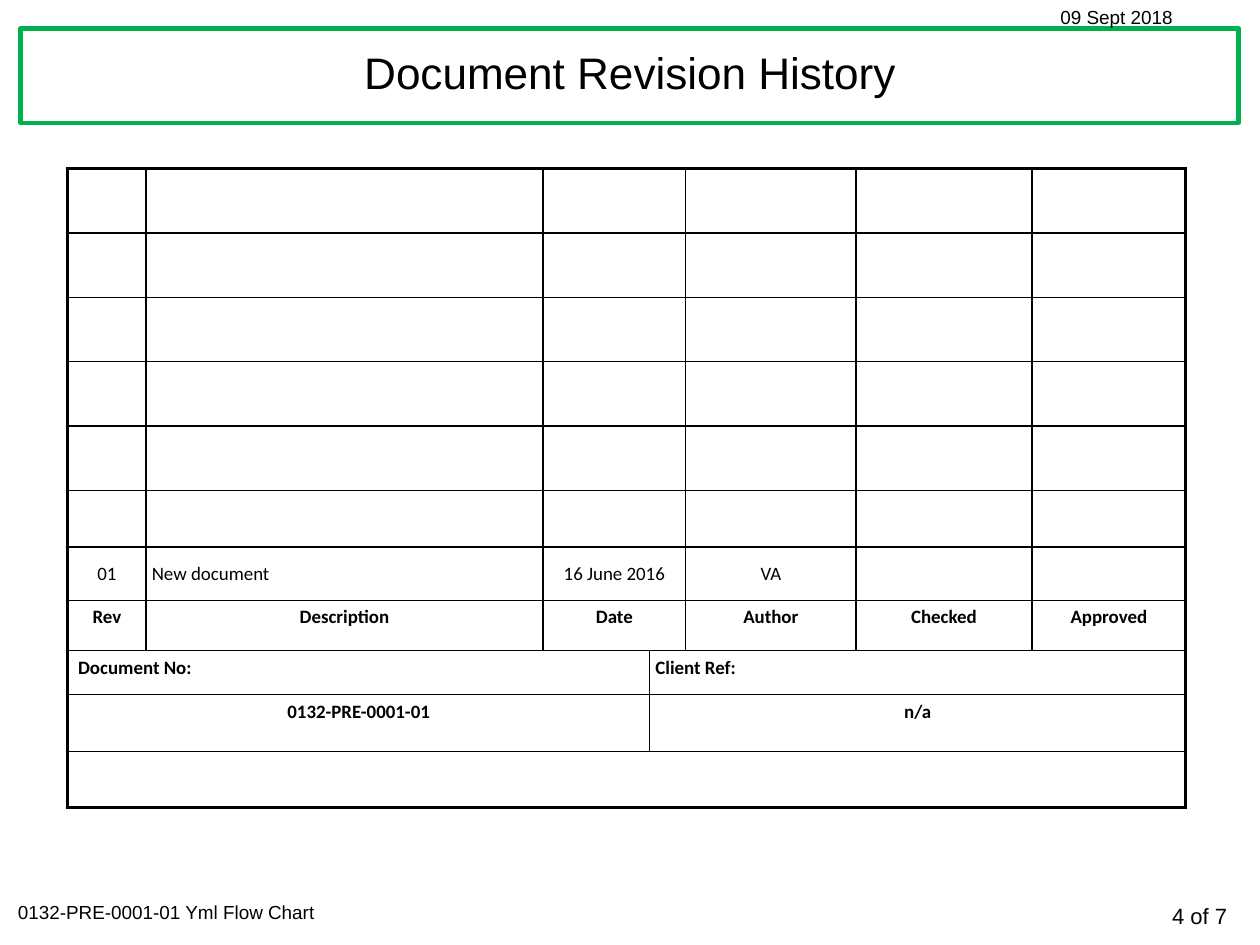
from dataclasses import dataclass

from lxml.etree import SubElement
from pptx import Presentation
from pptx.dml.color import RGBColor
from pptx.enum.shapes import MSO_SHAPE
from pptx.enum.text import MSO_ANCHOR, PP_ALIGN
from pptx.oxml.ns import qn
from pptx.util import Cm, Pt


@dataclass(frozen=True)
class Theme:
    ink: RGBColor = RGBColor(0x00, 0x00, 0x00)
    paper: RGBColor = RGBColor(0xFF, 0xFF, 0xFF)
    accent: RGBColor = RGBColor(0x00, 0xB0, 0x50)
    font: str = "Arial"
    table_font: str = "Calibri"
    title: int = 28
    page: int = 14
    small: int = 12
    frame: float = 2.75
    outer: float = 2.25
    inner: float = 1


LEFT, CENTER, RIGHT = PP_ALIGN.LEFT, PP_ALIGN.CENTER, PP_ALIGN.RIGHT
TOP, MIDDLE = MSO_ANCHOR.TOP, MSO_ANCHOR.MIDDLE

COL_WIDTHS = [1.75, 8.89, 2.39, 0.81, 3.81, 3.94, 3.45]
ROW_HEIGHTS = [1.44] * 5 + [1.27, 1.19, 1.12, 0.99, 1.27, 1.27]
ENTRY_ROW, HEAD_ROW, LABEL_ROW, NUMBER_ROW, LAST_ROW = range(6, 11)

# (row, first column, last column)
MERGES = [(row, 2, 3) for row in range(HEAD_ROW + 1)]
MERGES += [(row, *cols) for row in (LABEL_ROW, NUMBER_ROW) for cols in ((0, 2), (3, 6))]
MERGES += [(LAST_ROW, 0, 6)]

# Row: {column: text}
TEXTS = {
    ENTRY_ROW: {0: "01", 1: "New document", 2: "16 June 2016", 4: "VA"},
    HEAD_ROW: {0: "Rev", 1: "Description", 2: "Date", 4: "Author", 5: "Checked", 6: "Approved"},
    LABEL_ROW: {0: "Document No:", 3: "Client Ref:"},
    NUMBER_ROW: {0: "0132-PRE-0001-01", 3: "n/a"},
}
LEFT_ALIGNED = {(ENTRY_ROW, 1), (LABEL_ROW, 0), (LABEL_ROW, 3)}


def write(tf, text, *, font, size, color, bold=False, align=LEFT, spacing=None):
    p = tf.paragraphs[0]
    p.alignment = align
    p.line_spacing = spacing
    r = p.add_run()
    r.text = text
    r.font.name = font
    r.font.size = Pt(size)
    r.font.bold = bold
    r.font.color.rgb = color


class SlideBuilder:
    def __init__(self, slide, theme):
        self.s = slide
        self.theme = theme

    def frame(self, x, y, w, h):
        sp = self.s.shapes.add_shape(MSO_SHAPE.RECTANGLE, Cm(x), Cm(y), Cm(w), Cm(h))
        sp.shadow.inherit = False
        sp.fill.solid()
        sp.fill.fore_color.rgb = self.theme.paper
        sp.line.color.rgb = self.theme.accent
        sp.line.width = Pt(self.theme.frame)

    def text(self, text, x, y, w, h, size, anchor=TOP, **fmt):
        tf = self.s.shapes.add_textbox(Cm(x), Cm(y), Cm(w), Cm(h)).text_frame
        tf.word_wrap = True
        tf.vertical_anchor = anchor
        write(tf, text, font=self.theme.font, size=size, color=self.theme.ink, **fmt)

    def borders(self, cell, **widths):
        tc_pr = cell._tc.get_or_add_tcPr()
        for side, width in widths.items():
            ln = SubElement(tc_pr, qn(f"a:ln{side}"), w=str(Pt(width)))
            fill = SubElement(ln, qn("a:solidFill"))
            SubElement(fill, qn("a:srgbClr"), val=str(self.theme.ink))

    def table(self, x, y, col_widths, row_heights, merges):
        n_rows, n_cols = len(row_heights), len(col_widths)
        table = self.s.shapes.add_table(
            n_rows, n_cols, Cm(x), Cm(y), Cm(sum(col_widths)), Cm(sum(row_heights))).table
        table.first_row = table.horz_banding = False
        for column, width in zip(table.columns, col_widths):
            column.width = Cm(width)
        for row, height in zip(table.rows, row_heights):
            row.height = Cm(height)
        for row, first, last in merges:
            table.cell(row, first).merge(table.cell(row, last))

        # Heavy outer edge, thin inner lines
        def width(is_edge):
            return self.theme.outer if is_edge else self.theme.inner

        for row in range(n_rows):
            for col in range(n_cols):
                cell = table.cell(row, col)
                if cell.is_spanned:
                    continue
                end = col + (cell.span_width if cell.is_merge_origin else 1)
                self.borders(cell, L=width(col == 0), R=width(end == n_cols),
                             T=width(row == 0), B=width(row == n_rows - 1))
                cell.fill.solid()
                cell.fill.fore_color.rgb = self.theme.paper
                cell.margin_left = cell.margin_right = Cm(0.13)
                cell.margin_top = cell.margin_bottom = Cm(0.13)
        return table

    def cell_text(self, cell, text, anchor=TOP, **fmt):
        cell.vertical_anchor = anchor
        write(cell.text_frame, text, font=self.theme.table_font,
              size=self.theme.small, color=self.theme.ink, **fmt)


def main():
    prs = Presentation()
    prs.slide_width, prs.slide_height = Cm(28.22), Cm(21.16)
    theme = Theme()
    slide = SlideBuilder(prs.slides.add_slide(prs.slide_layouts[6]), theme)

    # Title frame, footer and date
    slide.frame(0.46, 0.64, 27.28, 2.11)
    slide.text("4 of 7", 23.88, 20.09, 3.86, 0.86, theme.page, align=RIGHT)
    slide.text("0132-PRE-0001-01 Yml Flow Chart", 0.15, 20.04, 10.13, 0.76, theme.small)
    slide.text("09 Sept 2018", 23.5, 0, 4.27, 0.76, theme.small)
    slide.text("Document Revision History", 0.53, 0.64, 27.15, 2.11, theme.title,
               anchor=MIDDLE, align=CENTER, spacing=0.9)

    # Revision table
    table = slide.table(1.52, 3.78, COL_WIDTHS, ROW_HEIGHTS, MERGES)
    for row, entries in TEXTS.items():
        for col, text in entries.items():
            slide.cell_text(table.cell(row, col), text,
                            anchor=MIDDLE if row == ENTRY_ROW else TOP,
                            bold=row != ENTRY_ROW,
                            align=LEFT if (row, col) in LEFT_ALIGNED else CENTER)
    table.cell(LABEL_ROW, 0).margin_left = Cm(0.23)

    prs.save("out.pptx")


if __name__ == "__main__":
    main()
